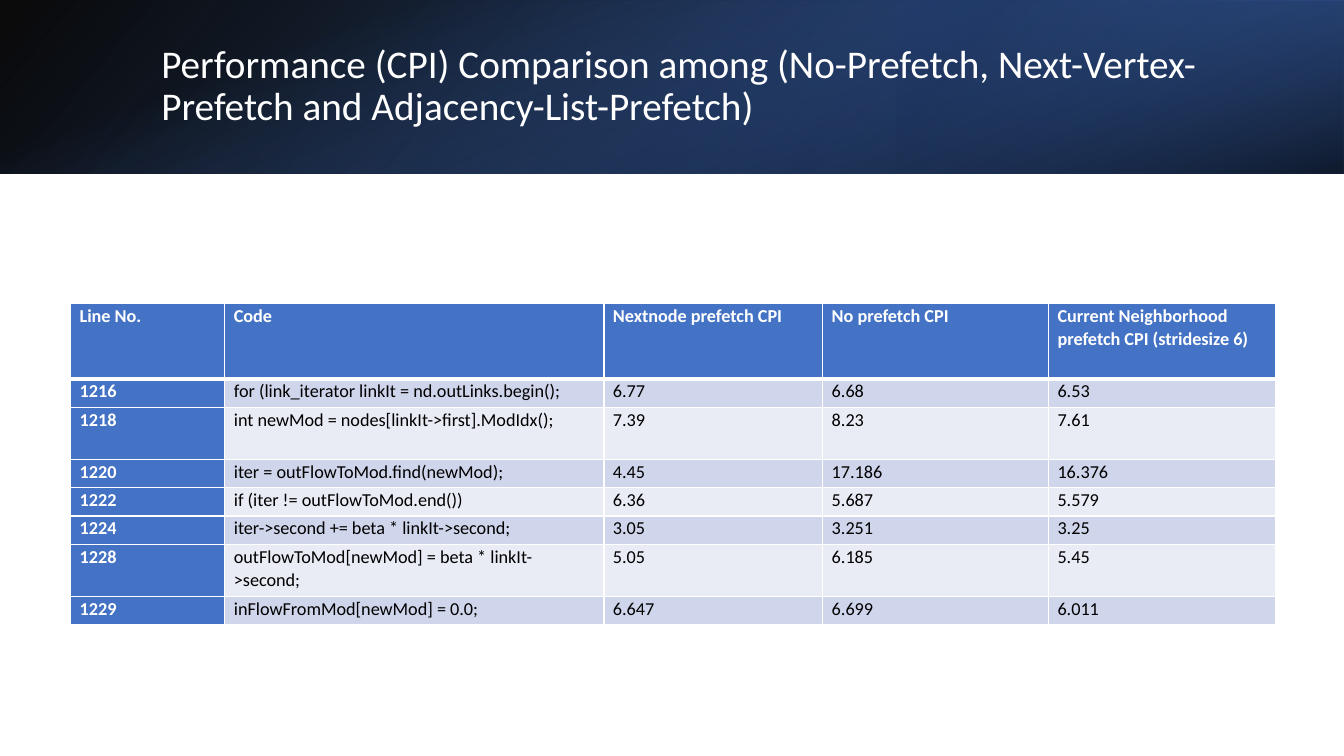
from lxml import etree
from pptx import Presentation
from pptx import util as u
from pptx.dml.color import RGBColor
from pptx.enum import shapes, text
from pptx.oxml.ns import qn

PX = 9144  # 100 px to the inch
WHITE = RGBColor(0xFF, 0xFF, 0xFF)
BLACK = RGBColor(0, 0, 0)
BLUE = RGBColor(0x44, 0x72, 0xC4)
DEEP = RGBColor(0x2F, 0x55, 0x97)
NAVY = RGBColor(0x20, 0x38, 0x64)
DARK = RGBColor(0xCF, 0xD5, 0xEA)
PALE = RGBColor(0xE9, 0xEB, 0xF5)


def px(*vals):
    return [u.Emu(v * PX) for v in vals]


def edge(cell, side, pts):
    """Draw one white border; sides must come in the order L, R, T, B."""
    props = cell._tc.get_or_add_tcPr()
    line = etree.Element(qn("a:ln" + side), w=str(u.Pt(pts)))
    fill = etree.SubElement(line, qn("a:solidFill"))
    etree.SubElement(fill, qn("a:srgbClr"), val=str(WHITE))
    props.insert("LRTB".index(side), line)


prs = Presentation()
prs.slide_width, prs.slide_height = px(1333, 750)
slide = prs.slides.add_slide(prs.slide_layouts[5])

# Banner: box, turn, flip, gradient angle, stops of (position, colour, opacity)
bands = [
    ((0, 0, 1333, 172), 0, True, 140, [(0, BLACK, 96), (100, DEEP, 100)]),
    ((889, 0, 444, 172), 180, True, 320, [(19, NAVY, 68), (100, BLUE, 79)]),
    ((580, -580, 172, 1333), 90, False, 340, [(23, BLUE, 0), (99, BLACK, 74)]),
]
for box, turn, flip, angle, stops in bands:
    band = slide.shapes.add_shape(shapes.MSO_SHAPE.RECTANGLE, *px(*box))
    band.shadow.inherit = False
    band.line.fill.background()
    band.rotation = turn
    if flip:
        band.element.spPr.xfrm.set("flipH", "1")
    band.fill.gradient()
    band.fill.gradient_angle = 360 - angle
    for stop, (pos, color, _) in zip(band.fill.gradient_stops, stops):
        stop.position = pos / 100
        stop.color.rgb = color
    tints = list(band.element.spPr.iter(qn("a:srgbClr")))
    for tint, (_, _, alpha) in zip(tints, stops):
        etree.SubElement(tint, qn("a:alpha"), val=str(alpha * 1000))

title = slide.shapes.title
title.element.getparent().append(title.element)
title.left, title.top, title.width, title.height = px(150, 38, 1098, 96)
frame = title.text_frame
frame.text = ("Performance (CPI) Comparison among (No-Prefetch, "
              "Next-Vertex-Prefetch and Adjacency-List-Prefetch)")
frame.word_wrap = True
frame.auto_size = text.MSO_AUTO_SIZE.NONE
frame.vertical_anchor = text.MSO_ANCHOR.MIDDLE
para = frame.paragraphs[0]
para.alignment = text.PP_ALIGN.LEFT
para.line_spacing = 0.9
para.font.name, para.font.size = "Calibri", u.Pt(28)
para.font.color.rgb = WHITE

rows = [
    ("Line No.", "Code", "Nextnode prefetch CPI", "No prefetch CPI",
     "Current Neighborhood prefetch CPI (stridesize 6)"),
    ("1216", "for (link_iterator linkIt = nd.outLinks.begin();",
     "6.77", "6.68", "6.53"),
    ("1218", "int newMod = nodes[linkIt->first].ModIdx();",
     "7.39", "8.23", "7.61"),
    ("1220", "iter = outFlowToMod.find(newMod);", "4.45", "17.186", "16.376"),
    ("1222", "if (iter != outFlowToMod.end())", "6.36", "5.687", "5.579"),
    ("1224", "iter->second += beta * linkIt->second;",
     "3.05", "3.251", "3.25"),
    ("1228", "outFlowToMod[newMod] = beta * linkIt->second;",
     "5.05", "6.185", "5.45"),
    ("1229", "inFlowFromMod[newMod] = 0.0;", "6.647", "6.699", "6.011"),
]
wide = [153, 376, 217, 224, 225]
high = [75, 28, 52, 28, 28, 28, 52, 28]
table = slide.shapes.add_table(len(rows), len(wide),
                               *px(70, 301, sum(wide), sum(high))).table
table.first_col = True
for col, width in zip(table.columns, px(*wide)):
    col.width = width
for row, height in zip(table.rows, px(*high)):
    row.height = height

for r, row in enumerate(rows):
    for c, word in enumerate(row):
        cell = table.cell(r, c)
        head = r == 0 or c == 0
        cell.text = word
        cell.margin_left, cell.margin_right = px(9, 9)
        cell.margin_top = cell.margin_bottom = 0
        cell.fill.solid()
        cell.fill.fore_color.rgb = BLUE if head else DARK if r % 2 else PALE
        para = cell.text_frame.paragraphs[0]
        para.line_spacing = 1.07
        para.font.name, para.font.size = "Calibri", u.Pt(13)
        para.font.bold = head
        para.font.color.rgb = WHITE if head else BLACK
        edge(cell, "L", 1)
        edge(cell, "R", 1)
        edge(cell, "T", 3 if r == 1 else 1)
        edge(cell, "B", 3 if r == 0 else 1)

prs.save("out.pptx")
